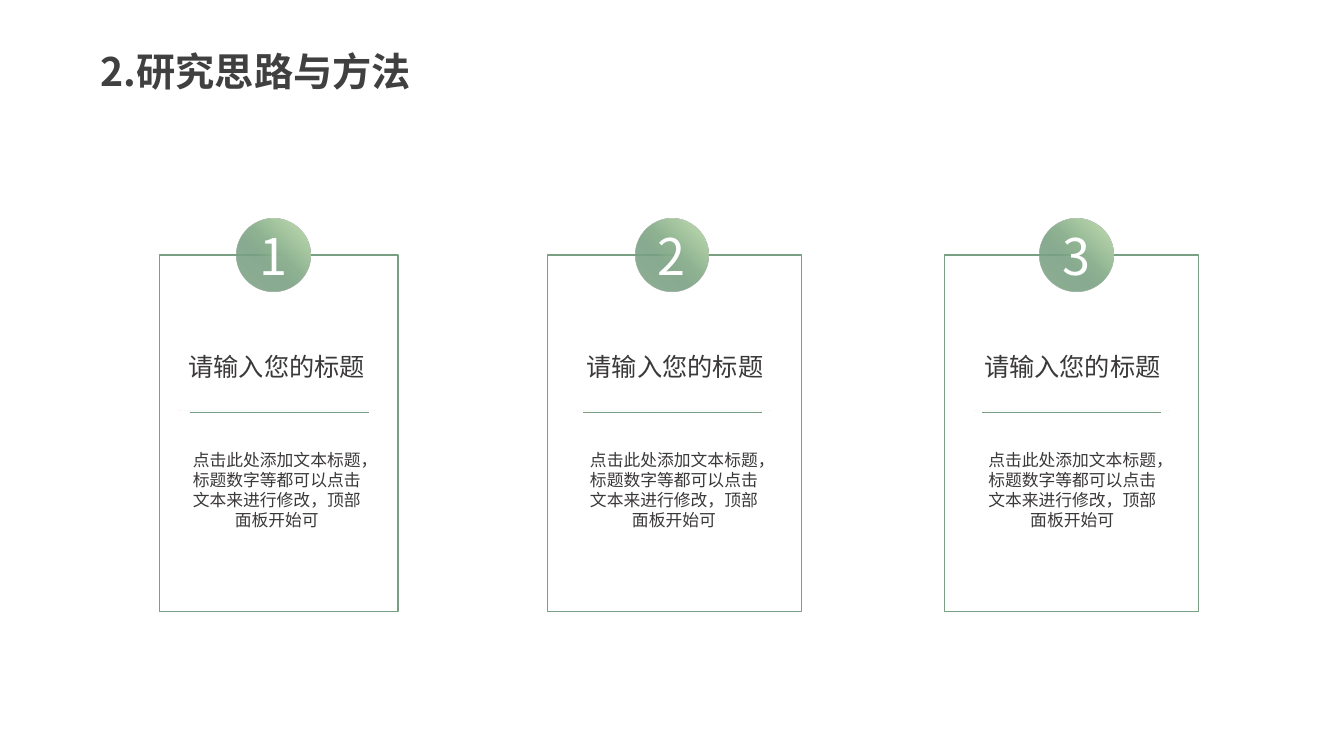
from lxml.etree import SubElement
from pptx import Presentation
from pptx.dml.color import RGBColor
from pptx.enum.dml import MSO_LINE
from pptx.enum.shapes import MSO_CONNECTOR, MSO_SHAPE
from pptx.enum.text import MSO_ANCHOR, MSO_AUTO_SIZE, PP_ALIGN
from pptx.oxml import parse_xml
from pptx.oxml.ns import nsdecls, qn
from pptx.util import Inches, Pt

TITLE = "2.研究思路与方法"
HEADING = "请输入您的标题"
BODY = "点击此处添加文本标题，标题数字等都可以点击文本来进行修改，顶部面板开始可"
# number, frame left, frame width, heading left, body left, rule left, circle left
CARDS = [
    ("1", 1.58, 2.37, 1.58, 1.77, 1.88, 2.35),
    ("2", 5.43, 2.52, 5.53, 5.71, 5.78, 6.30),
    ("3", 9.37, 2.52, 9.47, 9.66, 9.74, 10.31),
]
FONT = "Noto Sans CJK SC"
COLORS = {"title": "404040", "text": "3B3838", "green": "79A083",
          "pale": "F8F8F6", "white": "FFFFFF"}
# position %, colour, opacity %
STOPS = [(0, "C5E0B4", 100), (43, "91B593", 100), (62, "79A083", 88),
         (83, "7BA284", 88), (100, "AFCEA6", 100)]
FRAME_TOP, FRAME_H = 2.53, 3.54
CIRCLE = 0.73
BODY_W, RULE_W = 1.95, 1.78


def rgb(name):
    return RGBColor.from_string(COLORS[name])


def write(shape, text, size, color, align=PP_ALIGN.CENTER, bold=False,
          anchor=MSO_ANCHOR.TOP, fit=MSO_AUTO_SIZE.SHAPE_TO_FIT_TEXT):
    tf = shape.text_frame
    tf.word_wrap = True
    tf.auto_size = fit
    tf.vertical_anchor = anchor
    p = tf.paragraphs[0]
    p.alignment = align
    p.line_spacing = 1.0
    r = p.add_run()
    r.text = text
    r.font.size = Pt(size)
    r.font.bold = bold
    r.font.color.rgb = rgb(color)
    r.font.name = FONT
    SubElement(r.font._element, qn("a:ea")).set("typeface", FONT)


def add_text(s, x, y, w, h, text, size):
    box = s.shapes.add_textbox(Inches(x), Inches(y), Inches(w), Inches(h))
    write(box, text, size, "text")


def add_rule(s, x, y, w, color, dash=None):
    line = s.shapes.add_connector(MSO_CONNECTOR.STRAIGHT, Inches(x), Inches(y),
                                  Inches(x + w), Inches(y))
    line.line.color.rgb = rgb(color)
    line.line.width = Pt(0.5)
    if dash:
        line.line.dash_style = dash
    SubElement(line._element.spPr, qn("a:effectLst"))


def add_frame(s, x, w):
    frame = s.shapes.add_shape(MSO_SHAPE.RECTANGLE, Inches(x), Inches(FRAME_TOP),
                               Inches(w), Inches(FRAME_H))
    frame.shadow.inherit = False
    frame.fill.background()
    frame.line.color.rgb = rgb("green")
    frame.line.width = Pt(1)


def gradient():
    stops = "".join(
        f'<a:gs pos="{pos * 1000}"><a:srgbClr val="{color}">'
        f'<a:alpha val="{alpha * 1000}"/></a:srgbClr></a:gs>'
        for pos, color, alpha in STOPS)
    return parse_xml(f'<a:gradFill {nsdecls("a")} rotWithShape="1"><a:gsLst>{stops}'
                     f'</a:gsLst><a:lin ang="{134 * 60000}" scaled="0"/></a:gradFill>')


def add_circle(s, x, number):
    circle = s.shapes.add_shape(MSO_SHAPE.OVAL, Inches(x), Inches(FRAME_TOP - CIRCLE / 2),
                                Inches(CIRCLE), Inches(CIRCLE))
    circle.shadow.inherit = False
    circle.line.fill.background()
    circle._element.spPr.find(qn("a:prstGeom")).addnext(gradient())
    write(circle, number, 36, "white", anchor=MSO_ANCHOR.MIDDLE, fit=MSO_AUTO_SIZE.NONE)


def main():
    prs = Presentation()
    prs.slide_width, prs.slide_height = Inches(13.33), Inches(7.5)
    s = prs.slides.add_slide(prs.slide_layouts[5])

    title = s.shapes.title
    title.left, title.top = Inches(0.9), Inches(0.42)
    title.width, title.height = Inches(3.35), Inches(0.57)
    write(title, TITLE, 28, "title", align=PP_ALIGN.LEFT, bold=True)

    for number, frame_x, frame_w, heading_x, body_x, rule_x, circle_x in CARDS:
        add_frame(s, frame_x, frame_w)
        add_text(s, heading_x, 3.44, 2.33, 0.4, HEADING, 18)
        add_rule(s, body_x, 4.07, BODY_W, "pale", MSO_LINE.SQUARE_DOT)
        add_text(s, body_x, 4.41, BODY_W, 0.91, BODY, 12)
        add_rule(s, rule_x, 4.09, RULE_W, "green")
        add_circle(s, circle_x, number)

    prs.save("out.pptx")


if __name__ == "__main__":
    main()
